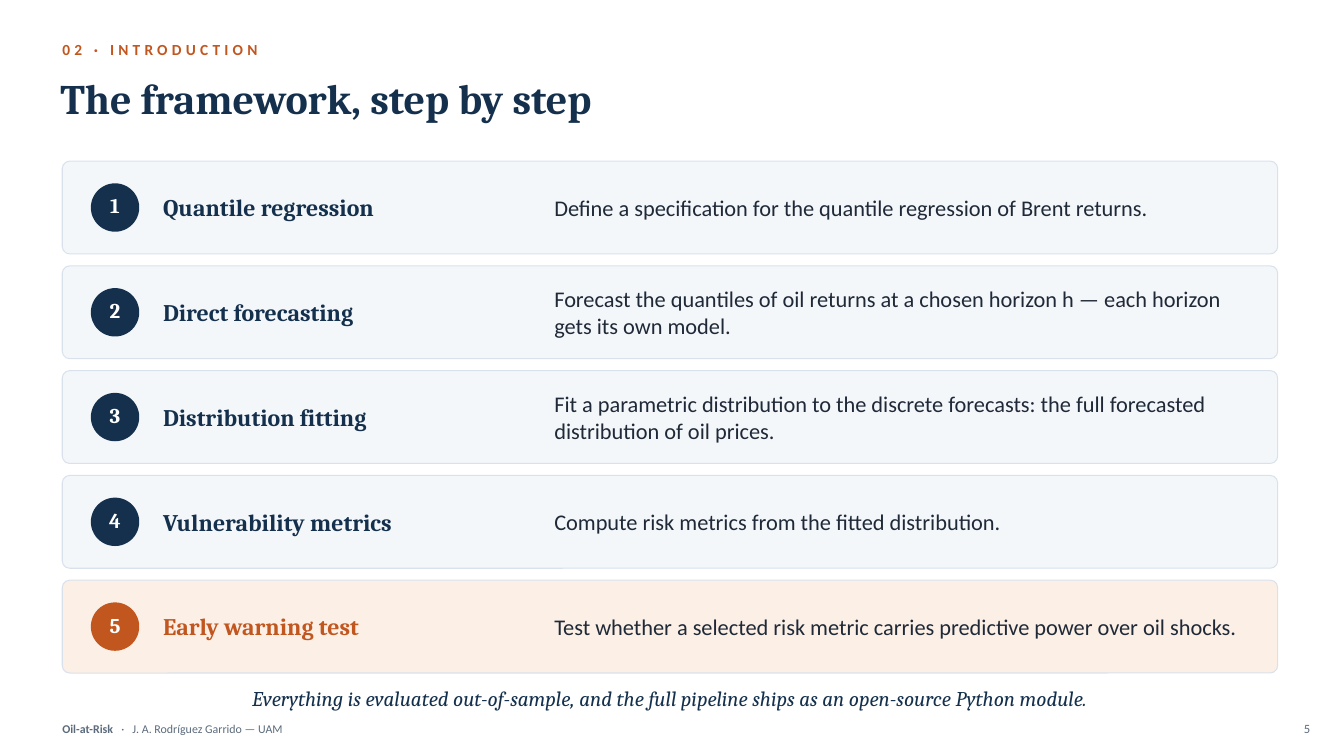
"""Build the five-step framework slide."""
from dataclasses import dataclass

from pptx import Presentation
from pptx.dml.color import RGBColor
from pptx.enum.shapes import MSO_SHAPE
from pptx.enum.text import MSO_ANCHOR, PP_ALIGN
from pptx.shapes.autoshape import Shape
from pptx.slide import Slide
from pptx.util import Cm, Pt

NAVY = RGBColor(0x14, 0x30, 0x4D)
RUST = RGBColor(0xC2, 0x56, 0x1F)
SLATE = RGBColor(0x5B, 0x6B, 0x7C)
INK = RGBColor(0x1F, 0x29, 0x37)
MIST = RGBColor(0xF4, 0xF7, 0xFA)
PEACH = RGBColor(0xFB, 0xEF, 0xE6)
BORDER = RGBColor(0xD9, 0xE2, 0xEC)
WHITE = RGBColor(0xFF, 0xFF, 0xFF)
SERIF, SANS = "Cambria", "Calibri"

LEFT, CARD_WIDTH, CARD_HEIGHT = 1.57, 30.63, 2.34
FIRST_TOP, PITCH = 4.06, 2.64
BADGE_LEFT, BADGE_SIZE = 2.29, 1.22
TEXT_INSET, TEXT_HEIGHT = 0.2, 1.93


@dataclass(frozen=True)
class Box:
    left: float
    top: float
    width: float
    height: float


@dataclass(frozen=True)
class Style:
    font: str
    size: float
    color: RGBColor
    bold: bool = False
    italic: bool = False
    spacing: float = 0


@dataclass(frozen=True)
class Step:
    name: str
    detail: str
    accent: RGBColor = NAVY
    fill: RGBColor = MIST


STEPS = [
    Step("Quantile regression",
         "Define a specification for the quantile regression of Brent returns."),
    Step("Direct forecasting",
         "Forecast the quantiles of oil returns at a chosen horizon h — "
         "each horizon gets its own model."),
    Step("Distribution fitting",
         "Fit a parametric distribution to the discrete forecasts: "
         "the full forecasted distribution of oil prices."),
    Step("Vulnerability metrics",
         "Compute risk metrics from the fitted distribution."),
    Step("Early warning test",
         "Test whether a selected risk metric carries predictive power over oil shocks.",
         RUST, PEACH),
]


def add_text(slide: Slide, box: Box, *runs: tuple[str, Style],
             align: PP_ALIGN = PP_ALIGN.LEFT) -> None:
    frame = slide.shapes.add_textbox(
        Cm(box.left), Cm(box.top), Cm(box.width), Cm(box.height)).text_frame
    frame.word_wrap = True
    frame.vertical_anchor = MSO_ANCHOR.MIDDLE
    frame.margin_left = frame.margin_right = 0
    frame.margin_top = frame.margin_bottom = 0
    paragraph = frame.paragraphs[0]
    paragraph.alignment = align
    for text, style in runs:
        run = paragraph.add_run()
        run.text = text
        font = run.font
        font.name, font.size = style.font, Pt(style.size)
        font.bold, font.italic = style.bold, style.italic
        font.color.rgb = style.color
        if style.spacing:
            run._r.get_or_add_rPr().set("spc", str(round(style.spacing * 100)))


def add_panel(slide: Slide, kind: MSO_SHAPE, box: Box, fill: RGBColor) -> Shape:
    panel = slide.shapes.add_shape(
        kind, Cm(box.left), Cm(box.top), Cm(box.width), Cm(box.height))
    panel.shadow.inherit = False
    panel.fill.solid()
    panel.fill.fore_color.rgb = fill
    panel.line.fill.background()
    return panel


def add_step(slide: Slide, number: int, step: Step) -> None:
    top = FIRST_TOP + (number - 1) * PITCH
    card = add_panel(slide, MSO_SHAPE.ROUNDED_RECTANGLE,
                     Box(LEFT, top, CARD_WIDTH, CARD_HEIGHT), step.fill)
    card.adjustments[0] = 0.08
    card.line.color.rgb = BORDER
    card.line.width = Pt(0.75)
    add_panel(slide, MSO_SHAPE.OVAL,
              Box(BADGE_LEFT, top + 0.56, BADGE_SIZE, BADGE_SIZE), step.accent)
    add_text(slide, Box(BADGE_LEFT, top + 0.51, BADGE_SIZE, BADGE_SIZE),
             (str(number), Style(SERIF, 15, WHITE, bold=True)), align=PP_ALIGN.CENTER)
    add_text(slide, Box(4.11, top + TEXT_INSET, 9.65, TEXT_HEIGHT),
             (step.name, Style(SERIF, 17, step.accent, bold=True)))
    add_text(slide, Box(13.97, top + TEXT_INSET, 17.65, TEXT_HEIGHT),
             (step.detail, Style(SANS, 16, INK)))


def main() -> None:
    deck = Presentation()
    deck.slide_width, deck.slide_height = Cm(33.87), Cm(19.05)
    slide = deck.slides.add_slide(deck.slide_layouts[6])

    add_text(slide, Box(LEFT, 17.98, 15.24, 0.76),
             ("Oil-at-Risk", Style(SANS, 8.5, SLATE, bold=True)),
             (" ·", Style(SANS, 8.5, SLATE, spacing=3.85)),
             (" J. A. Rodríguez Garrido — UAM", Style(SANS, 8.5, SLATE)))
    add_text(slide, Box(31.75, 17.98, 1.27, 0.76),
             ("5", Style(SANS, 9, SLATE)), align=PP_ALIGN.RIGHT)
    add_text(slide, Box(LEFT, 0.86, 30.48, 0.76),
             ("02 · INTRODUCTION", Style(SANS, 11, RUST, bold=True, spacing=3)))
    add_text(slide, Box(1.52, 1.52, 30.73, 1.91),
             ("The framework, step by step", Style(SERIF, 30, NAVY, bold=True)))
    for number, step in enumerate(STEPS, start=1):
        add_step(slide, number, step)
    add_text(slide, Box(LEFT, 17.15, CARD_WIDTH, 0.89),
             ("Everything is evaluated out-of-sample, and the full pipeline "
              "ships as an open-source Python module.",
              Style(SERIF, 15, NAVY, italic=True)), align=PP_ALIGN.CENTER)
    deck.save("out.pptx")


main()
